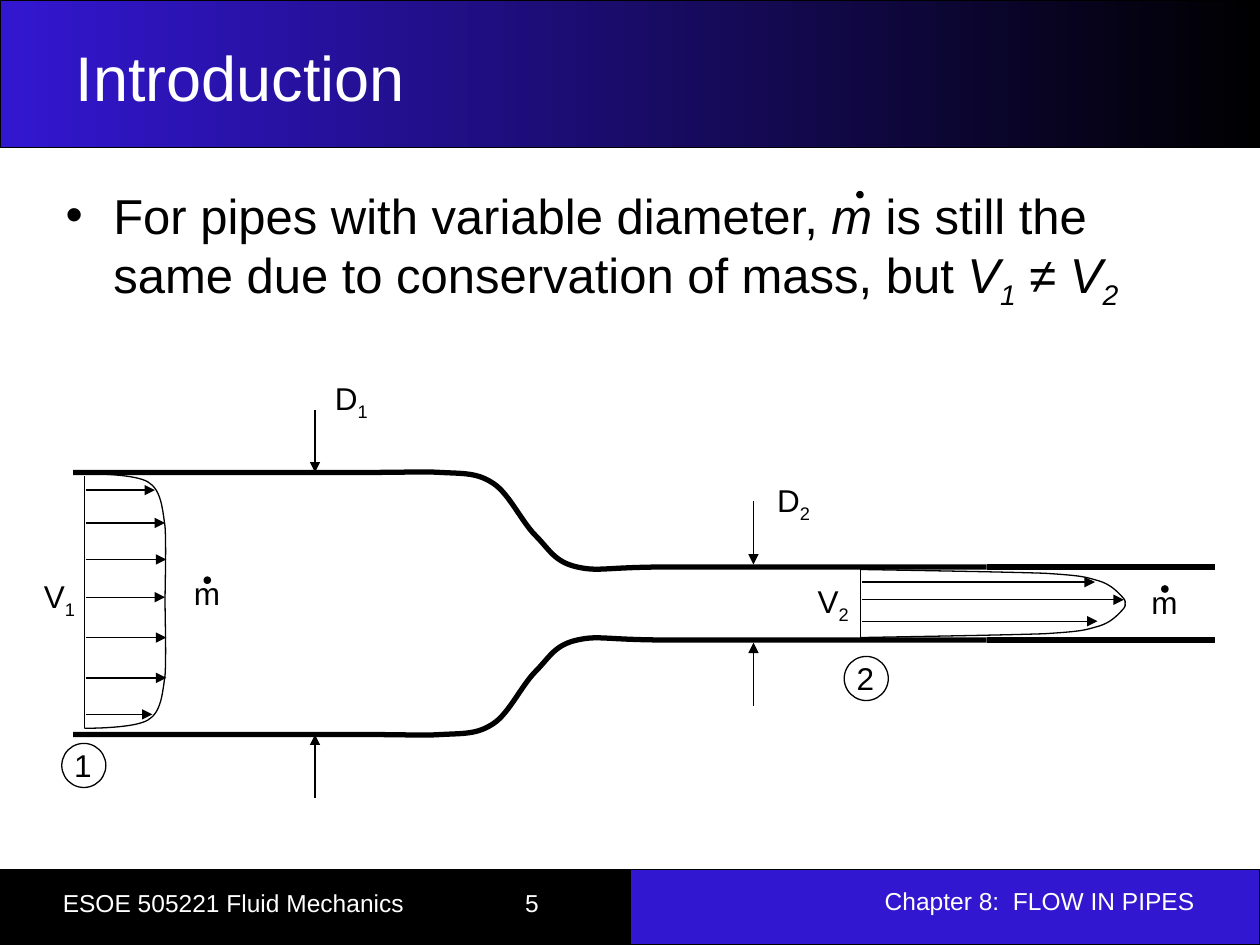
from pptx import Presentation
from pptx.dml.color import RGBColor
from pptx.enum.shapes import MSO_CONNECTOR as CONN, MSO_SHAPE as SHAPE
from pptx.enum.text import MSO_ANCHOR as ANCHOR, MSO_AUTO_SIZE as AUTO, PP_ALIGN as ALIGN
from pptx.oxml.ns import qn
from pptx.util import Inches, Pt
from lxml.etree import SubElement

COLORS = {"ink": "000000", "brand": "3217D1", "paper": "FFFFFF"}
W, H = 10, 7.5
THIN, THICK = 0.75, 3

WALL = [(0, 1.04), (0.89, 1.04), (1.77, 1.04), (2.25, 1.04),
        (2.74, 1.04), (2.74, 1.05), (2.92, 1.04),
        (3.1, 1.03), (3.21, 1.04), (3.34, 0.95),
        (3.46, 0.87), (3.56, 0.65), (3.67, 0.54),
        (3.78, 0.43), (3.82, 0.33), (4, 0.29),
        (4.18, 0.25), (4.21, 0.29), (4.75, 0.29),
        (5.3, 0.29), (6.84, 0.29), (7.25, 0.29)]
STATIONS = [
    {"name": "1", "x": 0.09, "radius": 1.01, "shift": -0.02,
     "profile": [(0, 1.01), (0.15, 1.01), (0.3, 1), (0.4, 0.98),
                 (0.49, 0.96), (0.53, 0.94), (0.57, 0.88),
                 (0.61, 0.81), (0.62, 0.74), (0.64, 0.59),
                 (0.65, 0.45), (0.64, 0.11), (0.64, 0)],
     "arrows": [(-0.9, 0.56), (-0.64, 0.64), (-0.35, 0.65), (-0.05, 0.64),
                (0.27, 0.65), (0.59, 0.65), (0.88, 0.54)],
     "speed": (-0.42, -0.26), "flow": (0.77, -0.28), "mark": (-0.18, 1.11),
     "gauge": (1.92, 1.04), "diameter": (0.06, -0.29)},
    {"name": "2", "x": 6.25, "radius": 0.29, "shift": 0,
     "profile": [(0, 0.27), (0.57, 0.26), (1.15, 0.25), (1.46, 0.24),
                 (1.78, 0.22), (1.78, 0.21), (1.89, 0.18),
                 (1.99, 0.15), (2.04, 0.09), (2.07, 0.06),
                 (2.11, 0.02), (2.1, 0.01), (2.1, 0)],
     "arrows": [(-0.17, 1.86), (-0.03, 2.09), (0.14, 1.88)],
     "speed": (-0.44, -0.22), "flow": (2.21, -0.21), "mark": (-0.13, 0.42),
     "gauge": (5.4, 0.31), "diameter": (0.09, -0.21)},
]


def rgb(name):
    """Look up a colour by its role."""
    return RGBColor.from_string(COLORS[name])


def place(sp, box):
    """Put a shape at left, top, width, height in inches."""
    sp.left, sp.top, sp.width, sp.height = map(Inches, box)


def write(p, runs, size, color="ink"):
    """Fill a paragraph with (text, italic, subscript) runs."""
    for text, italic, sub in runs:
        r = p.add_run()
        r.text = text
        r.font.name, r.font.size, r.font.italic = "Arial", Pt(size), italic
        r.font.color.rgb = rgb(color)
        if sub:
            r.font._element.set("baseline", "-25000")


def label(s, box, runs, size=18, color="ink", align=ALIGN.LEFT, wrap=False):
    """Add a text box holding one line and return its paragraph."""
    tf = s.shapes.add_textbox(*map(Inches, box)).text_frame
    tf.word_wrap = wrap
    p = tf.paragraphs[0]
    p.alignment = align
    write(p, runs, size, color)
    return p


def block(s, kind, box, fill=None):
    """Add a thinly outlined preset shape."""
    sp = s.shapes.add_shape(kind, *map(Inches, box))
    sp.shadow.inherit = False
    sp.line.color.rgb, sp.line.width = rgb("ink"), Pt(THIN)
    if fill:
        sp.fill.solid()
        sp.fill.fore_color.rgb = rgb(fill)
    else:
        sp.fill.background()
    return sp


def dot(s, x, y):
    """Add the time-derivative dot above an m."""
    block(s, SHAPE.OVAL, (x, y, 0.05, 0.05), "ink")


def line(s, start, end, width=THIN, arrow=False):
    """Add a straight line, optionally ending in an arrowhead."""
    c = s.shapes.add_connector(CONN.STRAIGHT, *map(Inches, (*start, *end)))
    c.line.color.rgb, c.line.width = rgb("ink"), Pt(width)
    if arrow:
        SubElement(c.line._get_or_add_ln(), qn("a:tailEnd"), type="triangle")
    SubElement(c._element.spPr, qn("a:effectLst"))


def curve(s, points, width):
    """Draw chained cubic Bezier segments as an open outline."""
    pts = [(Inches(x), Inches(y)) for x, y in points]
    builder = s.shapes.build_freeform(*pts[0])
    builder.add_line_segments(pts[1:], close=False)
    sp = builder.convert_to_shape()
    segments = list(sp._element.iter(qn("a:lnTo")))
    for i in range(0, len(segments), 3):
        first, *rest = segments[i:i + 3]
        bezier = first.getparent().makeelement(qn("a:cubicBezTo"))
        first.addprevious(bezier)
        for seg in (first, *rest):
            bezier.append(seg[0])
            seg.getparent().remove(seg)
    sp.shadow.inherit = False
    sp.fill.background()
    sp.line.color.rgb, sp.line.width = rgb("ink"), Pt(width)


def mirrored(s, x, axis, points, width):
    """Draw a curve above the axis and its reflection below."""
    for side in (-1, 1):
        curve(s, [(x + dx, axis + side * r) for dx, r in points], width)


def header(s, box):
    """Place the gradient band and the slide title."""
    x, y, w, h = box
    band = block(s, SHAPE.RECTANGLE, box, "brand")
    band.fill.gradient()
    band.fill.gradient_angle = 0
    for stop, name in zip(band.fill.gradient_stops, ("brand", "ink")):
        stop.color.rgb = rgb(name)
    s.shapes.title._element.addprevious(band._element)
    place(s.shapes.title, (x + 0.05 * w, y + 0.145 * h, 0.9 * w, 0.74 * h))
    tf = s.shapes.title.text_frame
    tf.auto_size, tf.vertical_anchor = AUTO.NONE, ANCHOR.MIDDLE
    tf.paragraphs[0].alignment = ALIGN.LEFT
    write(tf.paragraphs[0], [("Introduction", False, False)], 36, "paper")


def body(s, box):
    """Place the bulleted statement with its dotted m."""
    sp = s.placeholders[1]
    place(sp, box)
    sp.text_frame.auto_size = AUTO.NONE
    p = sp.text_frame.paragraphs[0]
    p.space_before = Pt(7)
    pPr = p._p.get_or_add_pPr()
    pPr.set("marL", str(Inches(0.38)))
    pPr.set("indent", str(Inches(-0.38)))
    write(p, [("For pipes with variable diameter, ", False, False), ("m", True, False),
              (" is still the same due to conservation of mass, but ", False, False),
              ("V", True, False), ("1", True, True),
              (" ≠ V", True, False), ("2", True, True)], 28)
    dot(s, box[0] + 6.38, box[1] + 0.1)


def station(s, x, axis, st):
    """Draw one measuring section: profile, arrows, diameter and labels."""
    left, name = x + st["x"], st["name"]
    line(s, (left, axis - st["radius"]), (left, axis + st["radius"] - 0.02))
    mirrored(s, left, axis + st["shift"], st["profile"], THIN)
    for dy, length in st["arrows"]:
        line(s, (left + 0.01, axis + dy), (left + length, axis + dy), arrow=True)
    gx, gr = x + st["gauge"][0], st["gauge"][1]
    for side in (-1, 1):
        line(s, (gx, axis + side * (gr + 0.5)), (gx, axis + side * gr), arrow=True)
    dx, dy = st["diameter"]
    label(s, (gx + dx, axis - gr - 0.5 + dy, 0.46, 0.44),
          [("D", False, False), (name, False, True)])
    dx, dy = st["speed"]
    label(s, (left + dx, axis + dy, 0.45, 0.44), [("V", False, False), (name, False, True)])
    dx, dy = st["flow"]
    label(s, (left + dx, axis + dy, 0.41, 0.4), [("m", False, False)])
    dot(s, left + dx + 0.18, axis + dy + 0.07)
    dx, dy = st["mark"]
    label(s, (left + dx, axis + dy - 0.03, 0.34, 0.4), [(name, False, False)])
    block(s, SHAPE.OVAL, (left + dx, axis + dy, 0.35, 0.35))


def pipe(s, box):
    """Draw the narrowing pipe and its two stations."""
    x, y, w, h = box
    axis = y + h / 2
    mirrored(s, x, axis, WALL, THICK)
    end, radius = WALL[-1]
    for side in (-1, 1):
        level = axis + side * radius
        line(s, (x + end, level), (x + w, level), THICK)
    for st in STATIONS:
        station(s, x, axis, st)


def footer(s, box):
    """Place the two-colour strip with course, page and chapter."""
    x, y, w, h = box
    for i, fill in enumerate(("ink", "brand")):
        block(s, SHAPE.RECTANGLE, (x + i * w / 2, y, w / 2, h), fill)
    label(s, (x + 0.515 * w, y + 0.08, 4.43, 0.34),
          [("Chapter 8:  FLOW IN PIPES", False, False)], 14, "paper", ALIGN.RIGHT, True)
    p = label(s, (x + 0.04 * w, y + 0.1, 4.43, 0.34),
              [("ESOE 505221 Fluid Mechanics\t5", False, False)], 14, "paper", wrap=True)
    tabs = SubElement(p._p.get_or_add_pPr(), qn("a:tabLst"))
    SubElement(tabs, qn("a:tab"), pos=str(Inches(3.67)), algn="l")


def main():
    """Build and save the slide."""
    prs = Presentation()
    prs.slide_width, prs.slide_height = Inches(W), Inches(H)
    s = prs.slides.add_slide(prs.slide_layouts[1])
    header(s, (0, 0, W, 1.17))
    body(s, (0.42, 1.42, 0.9 * W, 2.56))
    pipe(s, (0.58, 3.75, 9.06, 2.08))
    footer(s, (0, 0.92 * H, W, 0.08 * H))
    prs.save("out.pptx")


if __name__ == "__main__":
    main()
